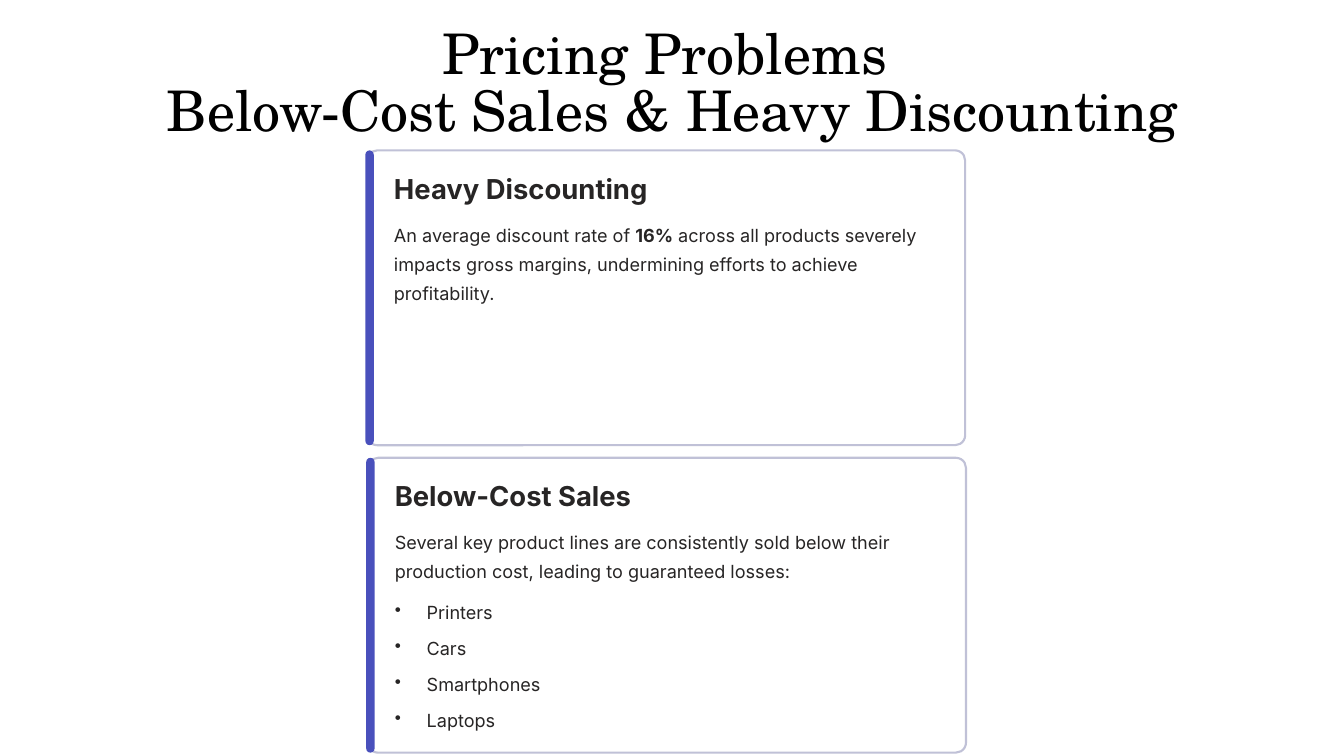
"""Build the pricing problems slide with two stacked cards."""
from lxml import etree
from pptx import Presentation
from pptx.dml.color import RGBColor
from pptx.enum.shapes import MSO_SHAPE
from pptx.enum.text import MSO_ANCHOR, MSO_AUTO_SIZE, PP_ALIGN
from pptx.oxml.ns import qn
from pptx.util import Inches, Pt

ROUNDED = MSO_SHAPE.ROUNDED_RECTANGLE
TOP = MSO_ANCHOR.TOP
NO_AUTOFIT = MSO_AUTO_SIZE.NONE
LEFT, CENTER = PP_ALIGN.LEFT, PP_ALIGN.CENTER

BLACK = RGBColor(0x00, 0x00, 0x00)
WHITE = RGBColor(0xFF, 0xFF, 0xFF)
INK = RGBColor(0x27, 0x25, 0x25)
BORDER = RGBColor(0xC0, 0xC1, 0xD7)
ACCENT = RGBColor(0x49, 0x50, 0xBC)

TITLE_FONT, BODY_FONT = "TeX Gyre Schola", "Inter"
BODY_SIZE, BODY_SPACING = 15.5, 25
CARD_HEIGHT, TEXT_WIDTH = 3.51, 6.56


def prepare_frame(frame):
    frame.margin_left = frame.margin_top = 0
    frame.margin_right = frame.margin_bottom = 0
    frame.word_wrap = True
    frame.auto_size = NO_AUTOFIT
    frame.vertical_anchor = TOP


def format_paragraph(paragraph, font_name, size, color, spacing, align=LEFT):
    paragraph.alignment = align
    paragraph.line_spacing = Pt(spacing)
    for run in paragraph.runs:
        run.font.name = font_name
        run.font.size = Pt(size)
        run.font.color.rgb = color


def add_title(slide, text):
    title = slide.shapes.title
    title.left, title.top = Inches(0.9), Inches(0.34)
    title.width, title.height = Inches(14.21), Inches(0.84)
    prepare_frame(title.text_frame)
    title.text_frame.text = text
    for paragraph in title.text_frame.paragraphs:
        format_paragraph(paragraph, TITLE_FONT, 48, BLACK, 49, CENTER)


def add_rounded(slide, left, top, width, radius, fill, border=None):
    panel = slide.shapes.add_shape(
        ROUNDED, Inches(left), Inches(top), Inches(width), Inches(CARD_HEIGHT))
    panel.adjustments[0] = radius
    panel.shadow.inherit = False
    panel.fill.solid()
    panel.fill.fore_color.rgb = fill
    if border is None:
        panel.line.fill.background()
    else:
        panel.line.color.rgb = border
        panel.line.width = Pt(1.8)


def add_text_frame(slide, left, top, height):
    frame = slide.shapes.add_textbox(
        Inches(left), Inches(top), Inches(TEXT_WIDTH), Inches(height)).text_frame
    prepare_frame(frame)
    return frame


def add_card(slide, left, top, heading, body_parts, body_height):
    """Add a bordered card; body_parts alternate between regular and bold."""
    add_rounded(slide, left + 0.02, top, 7.12, 0.034, WHITE, BORDER)
    add_rounded(slide, left, top, 0.1, 0.5, ACCENT)

    heading_frame = add_text_frame(slide, left + 0.34, top + 0.24, 0.41)
    heading_frame.text = heading
    heading_line = heading_frame.paragraphs[0]
    format_paragraph(heading_line, BODY_FONT, 23.5, INK, 29.5)
    heading_line.runs[0].font.bold = True

    body = add_text_frame(slide, left + 0.34, top + 0.79, body_height).paragraphs[0]
    for index, part in enumerate(body_parts):
        run = body.add_run()
        run.text = part
        run.font.bold = index % 2 == 1
    format_paragraph(body, BODY_FONT, BODY_SIZE, INK, BODY_SPACING)


def add_bullets(slide, left, top, items):
    frame = add_text_frame(slide, left, top, 1.64)
    frame.text = "\n".join(items)
    for index, paragraph in enumerate(frame.paragraphs):
        properties = paragraph._p.get_or_add_pPr()
        properties.set("marL", str(Inches(0.38)))
        properties.set("indent", str(-Inches(0.38)))
        etree.SubElement(properties, qn("a:buChar")).set("char", "•")
        format_paragraph(paragraph, BODY_FONT, BODY_SIZE, INK, BODY_SPACING)
        if index:
            paragraph.space_before = Pt(6)


def main():
    deck = Presentation()
    deck.slide_width, deck.slide_height = Inches(16), Inches(9)
    slide = deck.slides.add_slide(deck.slide_layouts[5])
    slide.background.fill.solid()
    slide.background.fill.fore_color.rgb = WHITE

    add_title(slide, "Pricing Problems \nBelow-Cost Sales & Heavy Discounting")
    add_card(slide, 4.36, 5.45, "Below-Cost Sales", [
        "Several key product lines are consistently sold below their "
        "production cost, leading to guaranteed losses:"], 0.7)
    add_bullets(slide, 4.7, 7.07, ["Printers", "Cars", "Smartphones", "Laptops"])
    add_card(slide, 4.35, 1.79, "Heavy Discounting", [
        "An average discount rate of ", "16%",
        " across all products severely impacts gross margins, "
        "undermining efforts to achieve profitability."], 1.06)
    deck.save("out.pptx")


if __name__ == "__main__":
    main()
